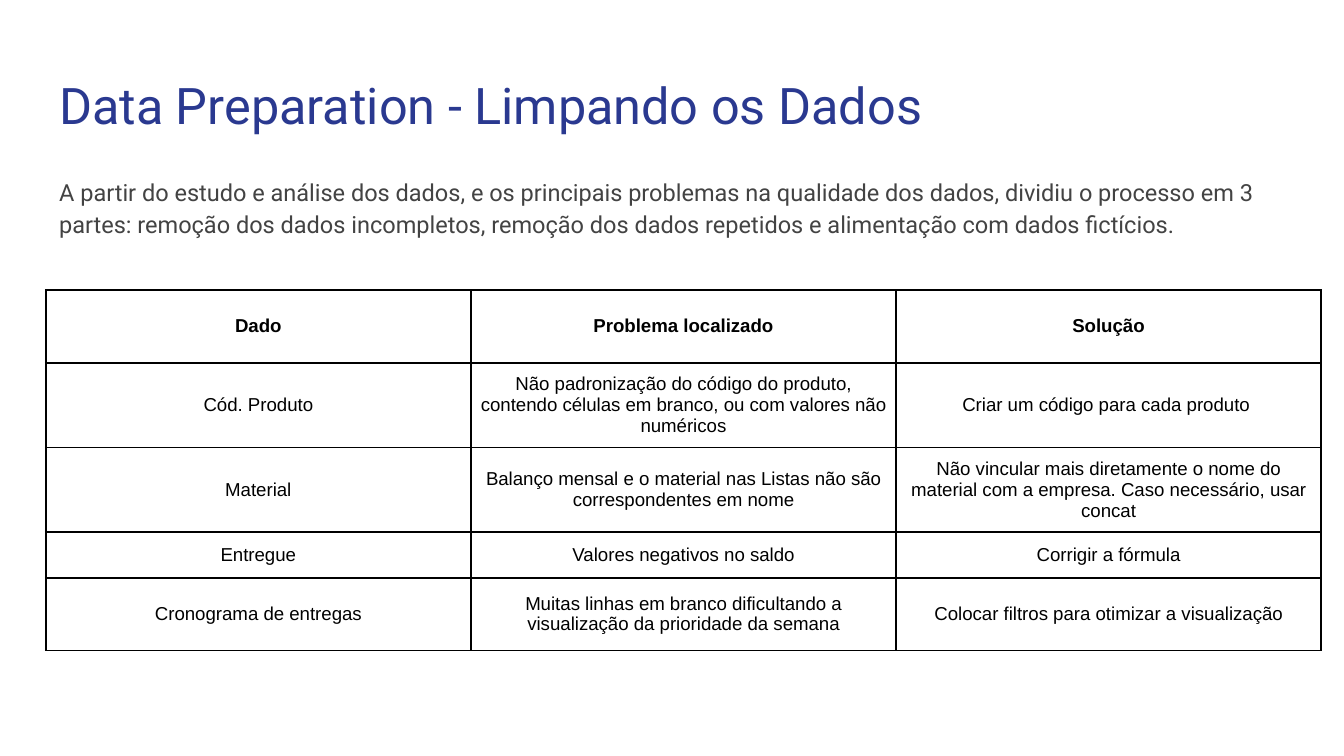
from dataclasses import dataclass

from lxml import etree
from pptx import Presentation
from pptx.dml.color import RGBColor
from pptx.enum.text import MSO_ANCHOR, MSO_AUTO_SIZE, PP_ALIGN
from pptx.oxml.ns import qn
from pptx.util import Inches, Pt

LEFT, CENTER = PP_ALIGN.LEFT, PP_ALIGN.CENTER
TOP, MIDDLE = MSO_ANCHOR.TOP, MSO_ANCHOR.MIDDLE
NO_AUTOFIT = MSO_AUTO_SIZE.NONE
TITLE_AND_CONTENT = 1


@dataclass(frozen=True)
class Theme:
    heading_font: str = "Roboto"
    table_font: str = "Arial"
    title_color: str = "2A3990"
    body_color: str = "434343"
    table_color: str = "000000"
    title_size: float = 27
    body_size: float = 12.6
    table_size: float = 10
    border_width: float = 1
    text_inset: float = 0.1
    cell_inset: float = 0.07


THEME = Theme()

TITLE = "Data Preparation - Limpando os Dados"
INTRODUCTION = (
    "A partir do estudo e análise dos dados, e os principais problemas na "
    "qualidade dos dados, dividiu o processo em 3 partes: remoção dos dados "
    "incompletos, remoção dos dados repetidos e alimentação com dados fictícios."
)
PROBLEMS = [
    ("Dado", "Problema localizado", "Solução"),
    ("Cód. Produto",
     "Não padronização do código do produto, contendo células em branco, "
     "ou com valores não numéricos",
     "Criar um código para cada produto "),
    ("Material",
     "Balanço mensal e o material nas Listas não são correspondentes em nome",
     "Não vincular mais diretamente o nome do material com a empresa. "
     "Caso necessário, usar concat"),
    ("Entregue", "Valores negativos no saldo", "Corrigir a fórmula"),
    ("Cronograma de entregas",
     "Muitas linhas em branco dificultando a visualização da prioridade da semana",
     "Colocar filtros para otimizar a visualização"),
]
ROW_HEIGHTS = [0.54, 0.63, 0.63, 0.34, 0.54]


def set_margins(target, inset):
    target.margin_left = target.margin_right = Inches(inset)
    target.margin_top = target.margin_bottom = Inches(inset)


def style_paragraph(paragraph, font_name, size, color, alignment):
    paragraph.alignment = alignment
    paragraph.font.name = font_name
    paragraph.font.size = Pt(size)
    paragraph.font.color.rgb = RGBColor.from_string(color)


def fill_placeholder(placeholder, box, text, size, color):
    """Place a heading placeholder in its box and return its paragraph."""
    left, top, width, height = map(Inches, box)
    placeholder.left, placeholder.top = left, top
    placeholder.width, placeholder.height = width, height
    frame = placeholder.text_frame
    frame.text = text
    frame.word_wrap = True
    frame.auto_size = NO_AUTOFIT
    frame.vertical_anchor = TOP
    set_margins(frame, THEME.text_inset)
    paragraph = frame.paragraphs[0]
    style_paragraph(paragraph, THEME.heading_font, size, color, LEFT)
    paragraph.space_before = Pt(0)
    return paragraph


def add_title(slide, box):
    fill_placeholder(slide.shapes.title, box, TITLE,
                     THEME.title_size, THEME.title_color)


def add_introduction(slide, box):
    paragraph = fill_placeholder(slide.placeholders[1], box, INTRODUCTION,
                                 THEME.body_size, THEME.body_color)
    paragraph.line_spacing = 1.15
    paragraph.space_after = Pt(12)
    # Plain text: no bullet and no hanging indent
    properties = paragraph._p.get_or_add_pPr()
    properties.set("marL", "0")
    properties.set("indent", "0")
    bullet = etree.Element(qn("a:buNone"))
    properties.find(qn("a:spcAft")).addnext(bullet)


def add_cell_borders(cell):
    properties = cell._tc.get_or_add_tcPr()
    for position, side in enumerate(("lnL", "lnR", "lnT", "lnB")):
        line = etree.Element(qn(f"a:{side}"), w=str(Pt(THEME.border_width)))
        fill = etree.SubElement(line, qn("a:solidFill"))
        etree.SubElement(fill, qn("a:srgbClr"), val=THEME.table_color)
        properties.insert(position, line)


def add_problem_table(slide, box):
    left, top, width, height = map(Inches, box)
    column_count = len(PROBLEMS[0])
    table = slide.shapes.add_table(len(PROBLEMS), column_count,
                                   left, top, width, height).table
    table.horz_banding = False
    for column in table.columns:
        column.width = width // column_count
    for row, row_height in zip(table.rows, ROW_HEIGHTS):
        row.height = Inches(row_height)

    for row_index, texts in enumerate(PROBLEMS):
        for column_index, text in enumerate(texts):
            cell = table.cell(row_index, column_index)
            cell.text = text
            cell.vertical_anchor = MIDDLE
            set_margins(cell, THEME.cell_inset)
            cell.fill.background()
            add_cell_borders(cell)
            paragraph = cell.text_frame.paragraphs[0]
            style_paragraph(paragraph, THEME.table_font, THEME.table_size,
                            THEME.table_color, CENTER)
            paragraph.font.bold = row_index == 0


def main():
    presentation = Presentation()
    # Widescreen, 16:9
    presentation.slide_width = Inches(10)
    presentation.slide_height = Inches(10 * 9 / 16)
    layout = presentation.slide_layouts[TITLE_AND_CONTENT]
    slide = presentation.slides.add_slide(layout)

    # Boxes: left, top, width, height
    add_title(slide, (0.34, 0.45, 9.32, 0.66))
    add_introduction(slide, (0.34, 1.19, 9.32, 0.79))
    add_problem_table(slide, (0.34, 2.16, 9.49, sum(ROW_HEIGHTS)))
    presentation.save("out.pptx")


if __name__ == "__main__":
    main()
